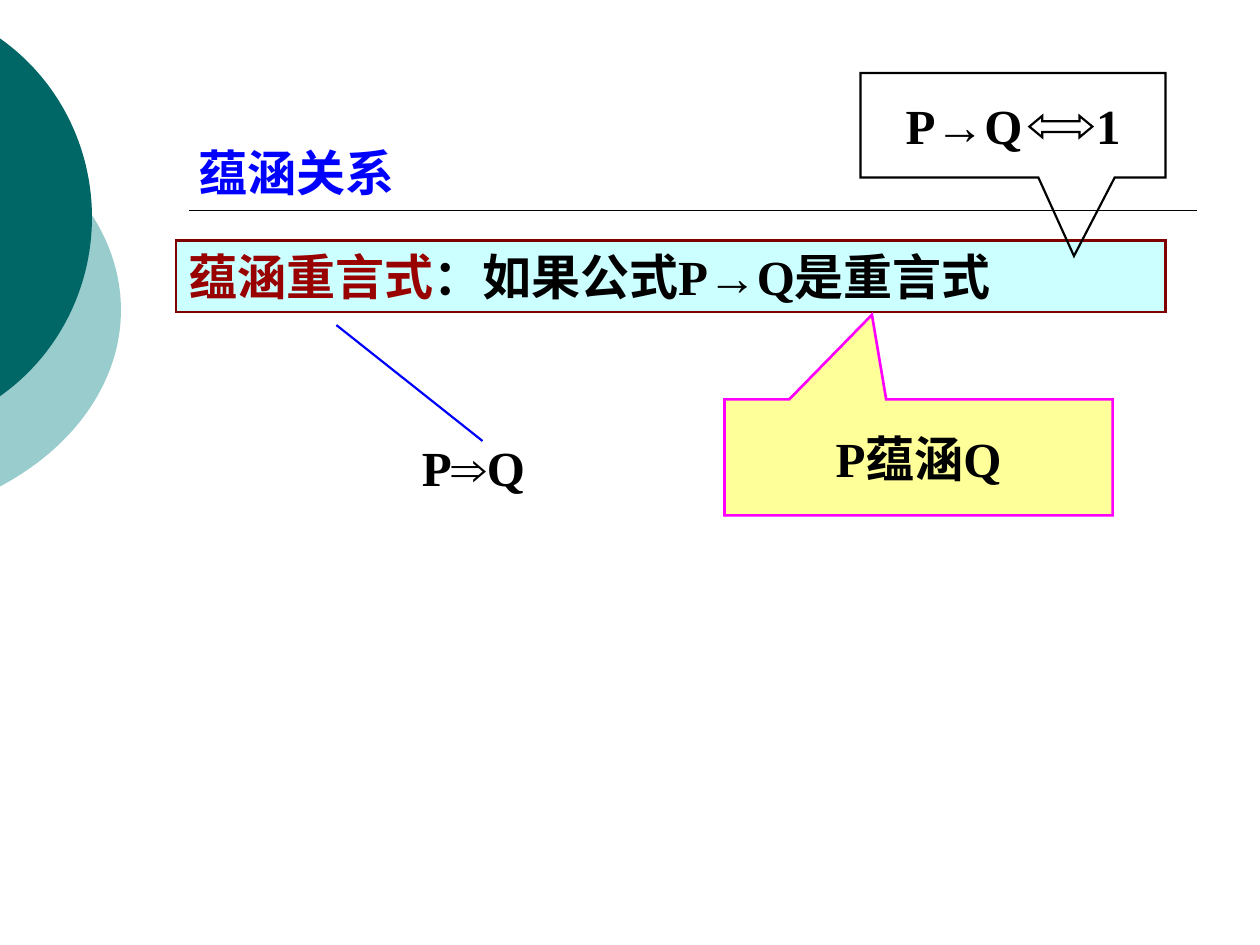
from pptx import Presentation
from pptx.dml.color import RGBColor
from pptx.enum.shapes import MSO_CONNECTOR, MSO_SHAPE
from pptx.enum.text import MSO_ANCHOR, MSO_AUTO_SIZE, PP_ALIGN
from pptx.oxml.ns import qn
from pptx.util import Inches, Pt
from lxml import etree

RECTANGLE = MSO_SHAPE.RECTANGLE
OVAL = MSO_SHAPE.OVAL
CALLOUT = MSO_SHAPE.RECTANGULAR_CALLOUT
DOUBLE_ARROW = MSO_SHAPE.LEFT_RIGHT_ARROW
STRAIGHT = MSO_CONNECTOR.STRAIGHT
TOP = MSO_ANCHOR.TOP
MIDDLE = MSO_ANCHOR.MIDDLE
FIT_SHAPE = MSO_AUTO_SIZE.SHAPE_TO_FIT_TEXT
LEFT = PP_ALIGN.LEFT
CENTER = PP_ALIGN.CENTER

BLACK = RGBColor(0x00, 0x00, 0x00)
BLUE = RGBColor(0x00, 0x00, 0xFF)
MAGENTA = RGBColor(0xFF, 0x00, 0xFF)
MAROON = RGBColor(0x80, 0x00, 0x00)
DARK_RED = RGBColor(0x99, 0x00, 0x00)
TEAL = RGBColor(0x00, 0x66, 0x66)
PALE_TEAL = RGBColor(0x99, 0xCC, 0xCC)
PALE_CYAN = RGBColor(0xCC, 0xFF, 0xFF)
PALE_YELLOW = RGBColor(0xFF, 0xFF, 0x99)

FONT_NAME = "Times New Roman"
FONT_SIZE = Pt(28)


def add_line(slide, start, end, color, width):
    """Add a straight line without a shadow."""
    line = slide.shapes.add_connector(STRAIGHT, *map(Inches, start + end))
    line.line.color.rgb = color
    line.line.width = Pt(width)
    etree.SubElement(line._element.spPr, qn("a:effectLst"))


def add_shape(slide, kind, box, fill=None, outline=None, width=1.25, adjustments=()):
    """Add a preset shape with an optional fill and a sharp-cornered outline."""
    shape = slide.shapes.add_shape(kind, *map(Inches, box))
    shape.shadow.inherit = False
    if fill is None:
        shape.fill.background()
    else:
        shape.fill.solid()
        shape.fill.fore_color.rgb = fill
    if outline is None:
        shape.line.fill.background()
    else:
        shape.line.color.rgb = outline
        shape.line.width = Pt(width)
        line_element = shape._element.spPr.find(qn("a:ln"))
        etree.SubElement(line_element, qn("a:miter"), lim="800000")
    for index, value in enumerate(adjustments):
        shape.adjustments[index] = value
    return shape


def write_text(shape, pieces, centered=False):
    """Write bold coloured runs and return them."""
    text_frame = shape.text_frame
    text_frame.word_wrap = True
    paragraph = text_frame.paragraphs[0]
    if centered:
        text_frame.vertical_anchor = MIDDLE
        paragraph.alignment = CENTER
    else:
        text_frame.auto_size = FIT_SHAPE
        text_frame.vertical_anchor = TOP
        paragraph.alignment = LEFT
    runs = []
    for text, color in pieces:
        run = paragraph.add_run()
        run.text = text
        run.font.name = FONT_NAME
        run.font.size = FONT_SIZE
        run.font.bold = True
        run.font.color.rgb = color
        runs.append(run)
    return runs


def add_label(slide, box, text, color):
    """Add a text box with one line of text."""
    write_text(slide.shapes.add_textbox(*map(Inches, box)), [(text, color)])


def add_equivalence_callout(slide):
    """Add the callout whose formula leaves room for a double arrow."""
    callout = add_shape(slide, CALLOUT, (6.83, 0.58, 2.42, 0.83), outline=BLACK,
                        adjustments=(0.2, 1.25))
    pieces = [("P→Q", BLACK), (" ", BLACK), ("1", BLACK)]
    gap = write_text(callout, pieces, centered=True)[1]
    gap.font._element.set("spc", "3500")
    add_shape(slide, DOUBLE_ARROW, (8.17, 0.92, 0.5, 0.17), outline=BLACK,
              adjustments=(0.5, 0.6))


def main():
    """Build the slide and save it."""
    presentation = Presentation()
    presentation.slide_width = Inches(10)
    presentation.slide_height = Inches(7.5)
    slide = presentation.slides.add_slide(presentation.slide_layouts[6])

    add_shape(slide, OVAL, (-3.54, 0.75, 4.5, 3.42), PALE_TEAL)
    add_shape(slide, OVAL, (-2.65, 0, 3.38, 3.45), TEAL)
    add_line(slide, (1.5, 1.67), (9.5, 1.67), BLACK, 1)

    definition = add_shape(slide, RECTANGLE, (1.4, 1.91, 7.85, 0.57), PALE_CYAN, MAROON)
    write_text(definition, [("蕴涵重言式", DARK_RED), ("：如果公式P→Q是重言式", BLACK)])

    add_label(slide, (3.25, 3.42, 1.93, 0.57), "P⇒Q", BLACK)
    add_line(slide, (2.67, 2.58), (3.83, 3.5), BLUE, 1.25)

    reading = add_shape(slide, CALLOUT, (5.75, 3.17, 3.08, 0.92), PALE_YELLOW, MAGENTA,
                        1.5, (-0.12, -1.23))
    write_text(reading, [("P蕴涵Q", BLACK)], centered=True)

    add_label(slide, (1.48, 1.08, 3.6, 0.57), "蕴涵关系", BLUE)
    add_equivalence_callout(slide)
    presentation.save("out.pptx")


if __name__ == "__main__":
    main()
